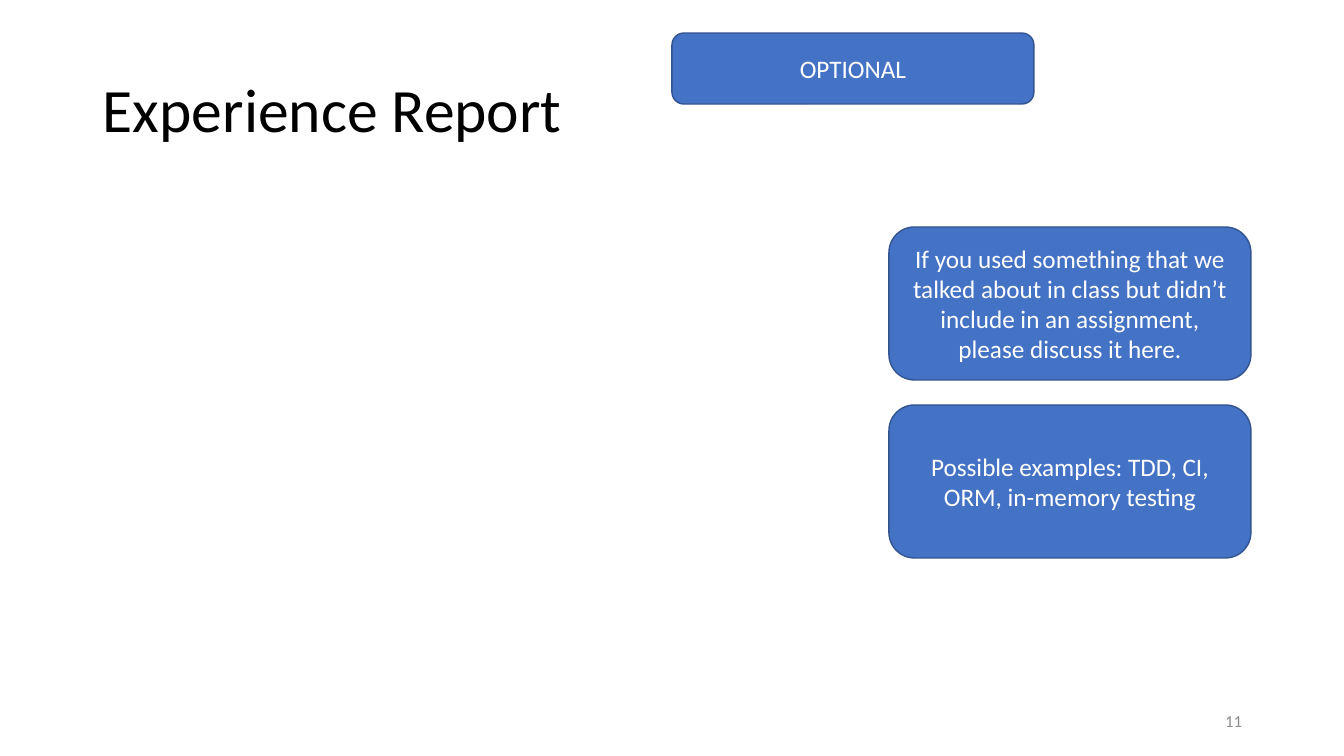
"""Build the Experience Report slide with its title, three callouts and page number."""
from pptx import Presentation
from pptx import util as u
from pptx.dml.color import RGBColor
from pptx.enum import shapes, text

BLACK = RGBColor(0x00, 0x00, 0x00)
GRAY = RGBColor(0x8C, 0x8C, 0x8C)
WHITE = RGBColor(0xFF, 0xFF, 0xFF)
BLUE = RGBColor(0x44, 0x72, 0xC4)
DARK_BLUE = RGBColor(0x32, 0x54, 0x91)

FONT = "Calibri"
SLIDE_WIDTH, SLIDE_HEIGHT = 1344, 756
SCALE = u.Inches(1) / 100.8

TITLE = ("Experience Report", (93, 40, 1159, 146))
PAGE_NUMBER = ("11", (950, 701, 302, 40))
BADGE = ("OPTIONAL", (672, 33, 362, 71))
NOTES = [
    "If you used something that we talked about in class but didn’t "
    "include in an assignment, please discuss it here.",
    "Possible examples: TDD, CI, ORM, in-memory testing",
]
NOTE_LEFT, NOTE_TOP, NOTE_WIDTH, NOTE_HEIGHT, NOTE_GAP = 889, 227, 362, 153, 25


def emu(pixels):
    """Turn pixels into EMU."""
    return u.Emu(round(pixels * SCALE))


def write(shape, words, size, color, align=text.PP_ALIGN.LEFT, line_spacing=1.0):
    """Put one formatted, vertically centred paragraph into a shape."""
    frame = shape.text_frame
    frame.word_wrap = True
    frame.vertical_anchor = text.MSO_ANCHOR.MIDDLE
    paragraph = frame.paragraphs[0]
    paragraph.alignment = align
    paragraph.line_spacing = line_spacing
    run = paragraph.add_run()
    run.text = words
    run.font.name = FONT
    run.font.size = u.Pt(size)
    run.font.color.rgb = color


def add_label(slide, words, box, **style):
    """Add a plain text box."""
    write(slide.shapes.add_textbox(*map(emu, box)), words, **style)


def add_callout(slide, words, box):
    """Add a blue rounded box with white centred text."""
    shape = slide.shapes.add_shape(shapes.MSO_SHAPE.ROUNDED_RECTANGLE, *map(emu, box))
    shape.shadow.inherit = False
    shape.fill.solid()
    shape.fill.fore_color.rgb = BLUE
    shape.line.color.rgb = DARK_BLUE
    shape.line.width = u.Pt(1)
    write(shape, words, size=18, color=WHITE, align=text.PP_ALIGN.CENTER)


presentation = Presentation()
presentation.slide_width = emu(SLIDE_WIDTH)
presentation.slide_height = emu(SLIDE_HEIGHT)
slide = presentation.slides.add_slide(presentation.slide_layouts[6])

add_label(slide, *TITLE, size=44, color=BLACK, line_spacing=0.9)
add_label(slide, *PAGE_NUMBER, size=12, color=GRAY, align=text.PP_ALIGN.RIGHT)
for index, note in enumerate(NOTES):
    top = NOTE_TOP + index * (NOTE_HEIGHT + NOTE_GAP)
    add_callout(slide, note, (NOTE_LEFT, top, NOTE_WIDTH, NOTE_HEIGHT))
add_callout(slide, *BADGE)

presentation.save("out.pptx")
